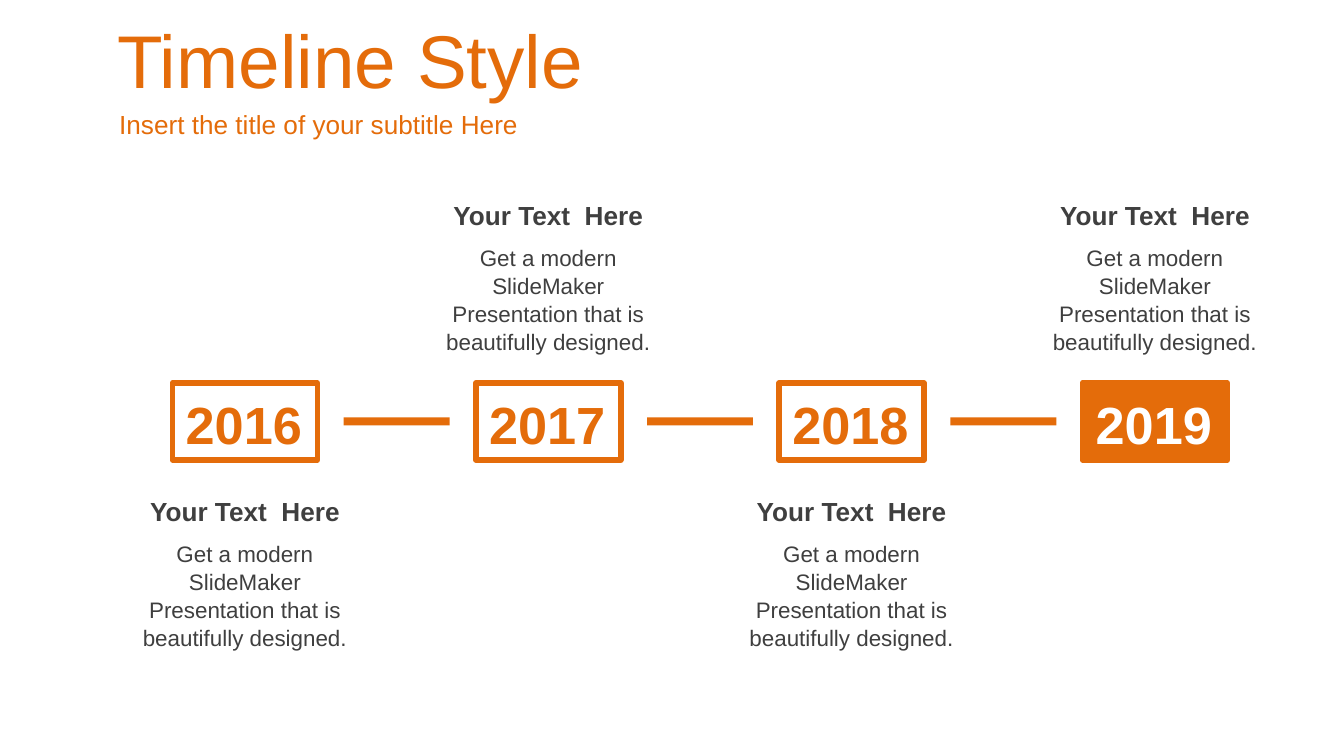
from pptx import Presentation
from pptx.dml.color import RGBColor
from pptx.enum.shapes import MSO_SHAPE
from pptx.enum.text import MSO_ANCHOR, PP_ALIGN
from pptx.util import Pt

ORANGE = RGBColor(0xE4, 0x6C, 0x0A)
WHITE = RGBColor(0xFF, 0xFF, 0xFF)
GRAY = RGBColor(0x3F, 0x3F, 0x3F)

TITLE = "Timeline Style"
SUBTITLE = "Insert the title of your subtitle Here"
HEADING = "Your Text  Here"
BODY = "Get a modern SlideMaker Presentation that is beautifully designed."
MILESTONES = [
    ("2016", "below", WHITE, ORANGE),
    ("2017", "above", WHITE, ORANGE),
    ("2018", "below", WHITE, ORANGE),
    ("2019", "above", ORANGE, WHITE),
]

TITLE_FMT = {"size": Pt(40), "color": ORANGE, "bold": False}
SUBTITLE_FMT = {"size": Pt(14), "color": ORANGE, "bold": False}
HEADING_FMT = {"size": Pt(14), "color": GRAY, "bold": True}
BODY_FMT = {"size": Pt(12), "color": GRAY, "bold": False}

EMU_PER_PX = 914400 / 134.4
SLIDE_W, SLIDE_H = 1344, 756
FIRST_CENTER, PITCH = 245, 1820 / 6
BOX_W, BOX_H, BOX_Y = 145, 77, 383
BAR_W, BAR_H = 106, 8
TEXT_W, HEADING_H, BODY_H = 267, 45, 122
TEXT_Y = {"above": 191, "below": 487}


def px(n):
    return round(n * EMU_PER_PX)


def write(shape, text, fmt, align=PP_ALIGN.LEFT, anchor=MSO_ANCHOR.TOP, spacing=1.0):
    tf = shape.text_frame
    tf.word_wrap = True
    tf.vertical_anchor = anchor
    p = tf.paragraphs[0]
    p.alignment = align
    p.line_spacing = spacing
    r = p.add_run()
    r.text = text
    r.font.name = "Arial"
    for name, value in fmt.items():
        if name == "color":
            r.font.color.rgb = value
        else:
            setattr(r.font, name, value)


def add_text(shapes, x, y, w, h, text, fmt, **layout):
    write(shapes.add_textbox(px(x), px(y), px(w), px(h)), text, fmt, **layout)


def add_rect(shapes, x, y, w, h, fill):
    sp = shapes.add_shape(MSO_SHAPE.RECTANGLE, px(x), px(y), px(w), px(h))
    sp.shadow.inherit = False
    sp.fill.solid()
    sp.fill.fore_color.rgb = fill
    sp.line.fill.background()
    return sp


prs = Presentation()
prs.slide_width, prs.slide_height = px(SLIDE_W), px(SLIDE_H)
s = prs.slides.add_slide(prs.slide_layouts[6])

add_text(s.shapes, 104, 18, 1240, 81, TITLE, TITLE_FMT, anchor=MSO_ANCHOR.MIDDLE)
add_text(s.shapes, 106, 103, 1237, 42, SUBTITLE, SUBTITLE_FMT, anchor=MSO_ANCHOR.MIDDLE)

for i, (year, side, fill, color) in enumerate(MILESTONES):
    center = FIRST_CENTER + i * PITCH
    box = add_rect(s.shapes, center - BOX_W / 2, BOX_Y, BOX_W, BOX_H, fill)
    box.line.color.rgb = ORANGE
    box.line.width = Pt(3)
    write(box, year, {"size": Pt(28), "color": color, "bold": True}, spacing=1.05)

    if i < len(MILESTONES) - 1:
        add_rect(s.shapes, center + (PITCH - BAR_W) / 2, BOX_Y + (BOX_H - BAR_H) / 2,
                 BAR_W, BAR_H, ORANGE)

    left, top = center - TEXT_W / 2, TEXT_Y[side]
    group = s.shapes.add_group_shape()
    add_text(group.shapes, left, top + HEADING_H, TEXT_W, BODY_H, BODY, BODY_FMT,
             align=PP_ALIGN.CENTER, spacing=1.05)
    add_text(group.shapes, left, top, TEXT_W, HEADING_H, HEADING, HEADING_FMT,
             align=PP_ALIGN.CENTER, spacing=1.05)

prs.save("out.pptx")
